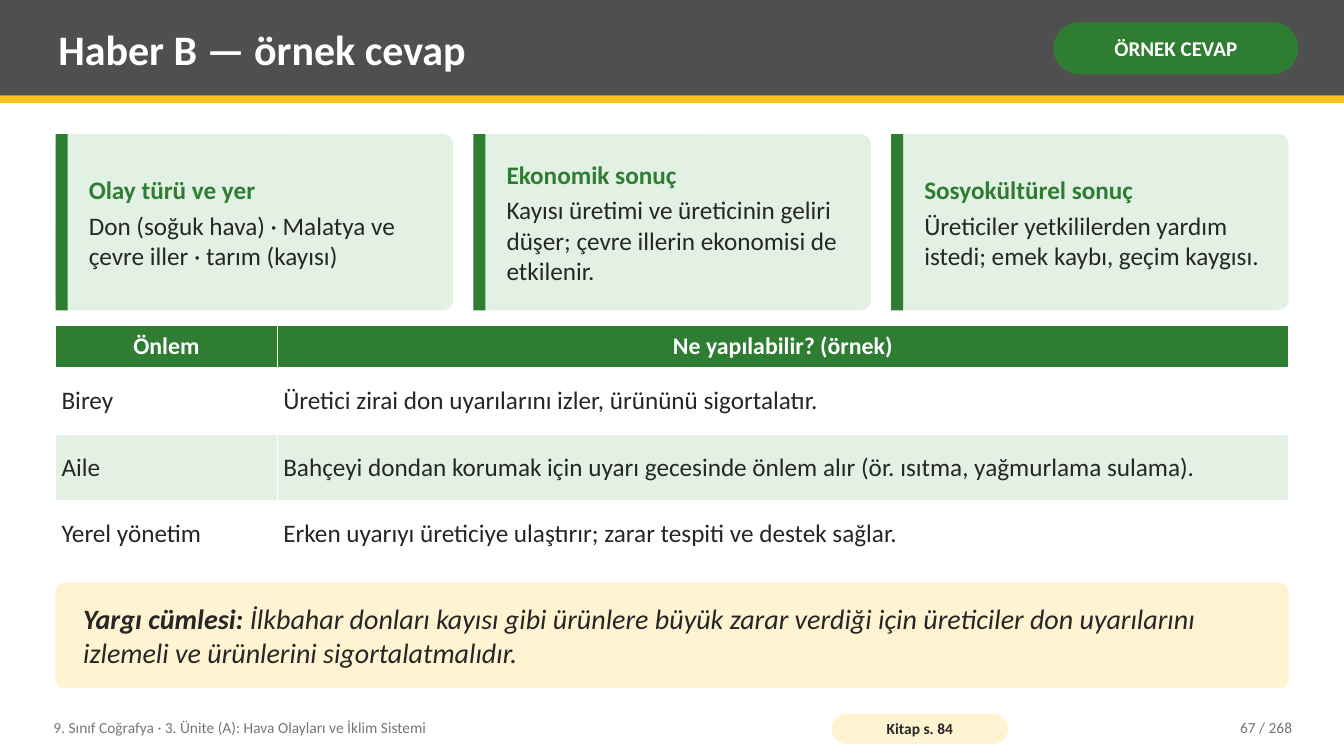
from dataclasses import dataclass

from lxml.etree import SubElement
from pptx import Presentation
from pptx.dml.color import RGBColor
from pptx.enum.shapes import MSO_SHAPE as Shape
from pptx.enum.text import MSO_ANCHOR as Anchor, MSO_AUTO_SIZE as AutoSize, PP_ALIGN as Align
from pptx.oxml.ns import qn
from pptx.util import Inches, Pt

WIDTH, HEIGHT = Inches(13.333), Inches(7.5)
FONT = "Calibri"
GREEN, PALE_GREEN, CREAM = "2E7D32", "E3F1E4", "FFF3D1"
SLATE, GOLD, INK, GREY, WHITE = "4F4F4F", "FCC021", "262626", "767676", "FFFFFF"
TEXT_INSET = (0.08, 0.04)

CARDS = [
    ("Olay türü ve yer", "Don (soğuk hava) · Malatya ve çevre iller · tarım (kayısı)"),
    ("Ekonomik sonuç",
     "Kayısı üretimi ve üreticinin geliri düşer; çevre illerin ekonomisi de etkilenir."),
    ("Sosyokültürel sonuç",
     "Üreticiler yetkililerden yardım istedi; emek kaybı, geçim kaygısı."),
]
MEASURES = [
    ("Önlem", "Ne yapılabilir? (örnek)"),
    ("Birey", "Üretici zirai don uyarılarını izler, ürününü sigortalatır."),
    ("Aile", "Bahçeyi dondan korumak için uyarı gecesinde önlem alır "
             "(ör. ısıtma, yağmurlama sulama)."),
    ("Yerel yönetim", "Erken uyarıyı üreticiye ulaştırır; zarar tespiti ve destek sağlar."),
]
JUDGEMENT = ("Yargı cümlesi:",
             " İlkbahar donları kayısı gibi ürünlere büyük zarar verdiği için üreticiler "
             "don uyarılarını izlemeli ve ürünlerini sigortalatmalıdır.")


@dataclass
class Box:
    """A rectangle in hundredths of the slide's width and height."""
    left: float
    top: float
    width: float
    height: float

    def inner(self, left, top, width, height):
        """Return a box offset from this one's corner."""
        return Box(self.left + left, self.top + top, width, height)

    def emu(self):
        """Return left, top, width and height as lengths."""
        return (across(self.left), down(self.top), across(self.width), down(self.height))


def across(share):
    """Turn a share of the slide's width into a length."""
    return round(WIDTH * share / 100)


def down(share):
    """Turn a share of the slide's height into a length."""
    return round(HEIGHT * share / 100)


def paint(target, color):
    """Give a fill or a font a solid colour from a hex string."""
    if hasattr(target, "solid"):
        target.solid()
        target = target.fore_color
    else:
        target = target.color
    target.rgb = RGBColor.from_string(color)


def style(font, size, color, bold=False, italic=False):
    """Set every visible property of a font."""
    font.name, font.size, font.bold, font.italic = FONT, Pt(size), bold, italic
    paint(font, color)


def prepare(frame, inset):
    """Wrap a text frame, centre it vertically and set its insets."""
    frame.word_wrap = True
    frame.auto_size = AutoSize.NONE
    frame.vertical_anchor = Anchor.MIDDLE
    frame.margin_left = frame.margin_right = Inches(inset[0])
    frame.margin_top = frame.margin_bottom = Inches(inset[1])


def write(para, text, size, color, bold=False, align=Align.LEFT):
    """Fill a paragraph with one evenly formatted text."""
    para.text = text
    para.alignment = align
    for span in para.runs:
        style(span.font, size, color, bold)


def add_panel(page, box, color, radius=0):
    """Add a plain rectangle, rounded when a radius is given."""
    panel = page.shapes.add_shape(Shape.ROUNDED_RECTANGLE if radius else Shape.RECTANGLE,
                                  *box.emu())
    if radius:
        panel.adjustments[0] = radius
    panel.shadow.inherit = False
    paint(panel.fill, color)
    panel.line.fill.background()
    return panel


def add_pill(page, box, text, size, fill, color, inset):
    """Add a fully rounded label with bold centred text."""
    frame = add_panel(page, box, fill, 0.5).text_frame
    prepare(frame, inset)
    write(frame.paragraphs[0], text, size, color, True, Align.CENTER)


def add_text(page, box):
    """Add an empty wrapped text box and return its frame."""
    frame = page.shapes.add_textbox(*box.emu()).text_frame
    prepare(frame, TEXT_INSET)
    return frame


def add_header(page, box):
    """Draw the title band, its gold rule, the title and the answer label."""
    rule = 0.93
    band = box.height - rule
    add_panel(page, box.inner(0, 0, box.width, band), SLATE)
    add_panel(page, box.inner(0, band, box.width, rule), GOLD)
    title = page.shapes.title
    title.element.getparent().append(title.element)
    title.left, title.top, title.width, title.height = box.inner(3.75, 0.93, 73.13, 10.93).emu()
    prepare(title.text_frame, TEXT_INSET)
    write(title.text_frame.paragraphs[0], "Haber B — örnek cevap", 30, WHITE, True)
    add_pill(page, box.inner(78.38, 2.93, 18.23, 6.93), "ÖRNEK CEVAP", 15, GREEN, WHITE,
             (0.05, 0.02))


def add_card(page, box, heading, body):
    """Draw one card with a green edge, a heading and a sentence."""
    add_panel(page, box, PALE_GREEN, 0.06)
    add_panel(page, box.inner(0, 0, 0.9, box.height), GREEN)
    frame = add_text(page, box.inner(1.88, 0.8, box.width - 2.63, box.height - 1.6))
    write(frame.paragraphs[0], heading, 18, GREEN, True)
    frame.paragraphs[0].space_after = Pt(4)
    write(frame.add_paragraph(), body, 18, INK)


def add_cards(page, box, gap=1.5):
    """Lay the cards out in equal columns."""
    width = (box.width - gap * (len(CARDS) - 1)) / len(CARDS)
    for index, (heading, body) in enumerate(CARDS):
        add_card(page, box.inner(index * (width + gap), 0, width, box.height), heading, body)


def add_borders(cell):
    """Draw thin white lines on the four sides of a cell."""
    properties = cell._tc.get_or_add_tcPr()
    for side in ("lnL", "lnR", "lnT", "lnB"):
        line = SubElement(properties, qn(f"a:{side}"), w=str(Pt(0.96)))
        SubElement(SubElement(line, qn("a:solidFill")), qn("a:srgbClr"), val=WHITE)


def add_measures(page, box):
    """Draw the table of measures with a green header and striped rows."""
    table = page.shapes.add_table(len(MEASURES), 2, *box.emu()).table
    label, header = 16.5, 5.6
    table.columns[0].width = across(label)
    table.columns[1].width = across(box.width - label)
    for index, texts in enumerate(MEASURES):
        is_header = index == 0
        row_share = header if is_header else (box.height - header) / (len(MEASURES) - 1)
        table.rows[index].height = down(row_share)
        fill = GREEN if is_header else (WHITE if index % 2 else PALE_GREEN)
        for cell, text in zip(table.rows[index].cells, texts):
            add_borders(cell)
            paint(cell.fill, fill)
            cell.vertical_anchor = Anchor.MIDDLE
            cell.margin_left = cell.margin_right = Inches(0.06)
            cell.margin_top = cell.margin_bottom = Inches(0.05)
            para = cell.text_frame.paragraphs[0]
            if is_header:
                write(para, text, 17, WHITE, True, Align.CENTER)
            else:
                write(para, text, 18, INK)


def add_judgement(page, box):
    """Draw the cream panel with the concluding sentence."""
    frame = add_panel(page, box, CREAM, 0.08).text_frame
    prepare(frame, (0.25, 0.08))
    para = frame.paragraphs[0]
    para.alignment = Align.LEFT
    for text, bold in zip(JUDGEMENT, (True, False)):
        span = para.add_run()
        span.text = text
        style(span.font, 20, INK, bold, True)


def add_footer(page, box):
    """Draw the unit name, the book page label and the page count."""
    unit = add_text(page, box.inner(3.38, 0, 57, box.height))
    write(unit.paragraphs[0], "9. Sınıf Coğrafya · 3. Ünite (A): Hava Olayları ve İklim Sistemi",
          11, GREY)
    add_pill(page, box.inner(61.88, 0.53, 13.13, 4), "Kitap s. 84", 11, CREAM, INK, (0.04, 0))
    count = add_text(page, box.inner(84.75, 0, 12, box.height))
    write(count.paragraphs[0], "67 / 268", 11, GREY, align=Align.RIGHT)


def main():
    """Build the slide and save the deck."""
    deck = Presentation()
    deck.slide_width, deck.slide_height = WIDTH, HEIGHT
    page = deck.slides.add_slide(deck.slide_layouts[5])
    left, width = 4.13, 91.75
    add_header(page, Box(0, 0, 100, 13.6))
    add_cards(page, Box(left, 17.73, width, 23.33))
    add_measures(page, Box(left, 43.07, width, 32))
    add_judgement(page, Box(left, 77.07, width, 14))
    add_footer(page, Box(0, 93.87, 100, 4.8))
    deck.save("out.pptx")


if __name__ == "__main__":
    main()
